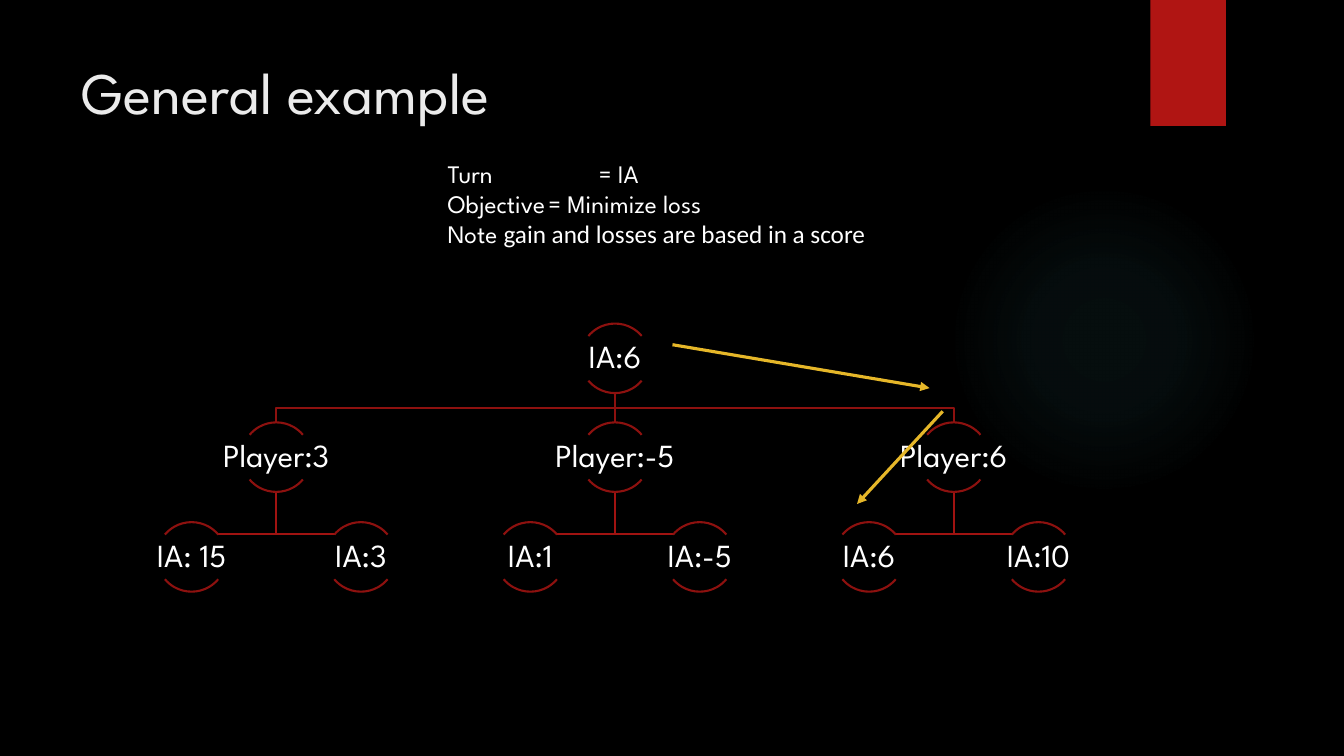
from lxml import etree
from pptx import Presentation
from pptx.dml.color import RGBColor
from pptx.enum.shapes import MSO_CONNECTOR, MSO_SHAPE as SHAPE
from pptx.enum.text import MSO_ANCHOR as ANCHOR, PP_ALIGN as ALIGN
from pptx.oxml.ns import qn
from pptx.util import Inches, Pt

COLORS = {"black": "000000", "banner": "B01513", "title": "EBEBEB",
          "white": "FFFFFF", "node": "8D110F", "leaf_link": "A01311",
          "arrow": "E6B729", "glow": "50B9C1"}
FONT = "League Spartan"


def rgb(name):
    return RGBColor.from_string(COLORS[name])


def add_text(p, text, size=18, color="white", font=FONT):
    r = p.add_run()
    r.text = text
    r.font.size = Pt(size)
    r.font.name = font
    r.font.color.rgb = rgb(color)
    return r


class TreeSlide:
    """Holds the slide and the measures of the game tree."""
    circle = 0.69
    label_size = (1.39, 0.44)

    def __init__(self, prs):
        self.slide = prs.slides.add_slide(prs.slide_layouts[5])
        self.shapes = self.slide.shapes
        fill = self.slide.background.fill
        fill.solid()
        fill.fore_color.rgb = rgb("black")

    def title(self, text, *box):
        sp = self.shapes.title
        sp.left, sp.top, sp.width, sp.height = map(Inches, box)
        tf = sp.text_frame
        tf.vertical_anchor = ANCHOR.TOP
        p = tf.paragraphs[0]
        p.alignment = ALIGN.LEFT
        add_text(p, text, size=42, color="title")

    def shape(self, kind, *box, fill=None, line=None):
        sp = self.shapes.add_shape(kind, *map(Inches, box))
        return self.paint(sp, fill, line)

    def paint(self, sp, fill=None, line=None):
        sp.shadow.inherit = False
        if fill:
            sp.fill.solid()
            sp.fill.fore_color.rgb = rgb(fill)
        else:
            sp.fill.background()
        if line:
            sp.line.color.rgb = rgb(line)
            sp.line.width = Pt(1.5)
        else:
            sp.line.fill.background()
        return sp

    def glow(self, *box, stops):
        sp = self.shape(SHAPE.OVAL, *box)
        sp.fill.gradient()
        grad = sp._element.spPr.find(qn("a:gradFill"))
        for child in list(grad):
            grad.remove(child)
        stop_list = etree.SubElement(grad, qn("a:gsLst"))
        for pos, alpha in stops:
            gs = etree.SubElement(stop_list, qn("a:gs"), pos=str(pos * 1000))
            clr = etree.SubElement(gs, qn("a:srgbClr"), val=COLORS["glow"])
            etree.SubElement(clr, qn("a:alpha"), val=str(alpha * 1000))
        radial = etree.SubElement(grad, qn("a:path"))
        radial.set("path", "circle")
        etree.SubElement(radial, qn("a:fillToRect"),
                         l="50000", t="50000", r="50000", b="50000")

    def link(self, points, color):
        start, *rest = [(Inches(x), Inches(y)) for x, y in points]
        builder = self.shapes.build_freeform(*start)
        builder.add_line_segments(rest, close=False)
        self.paint(builder.convert_to_shape(), line=color)

    def line(self, start, end, color, width, arrow=False):
        cx = self.shapes.add_connector(MSO_CONNECTOR.STRAIGHT,
                                       *map(Inches, start + end))
        cx.line.color.rgb = rgb(color)
        cx.line.width = Pt(width)
        props = cx._element.spPr
        if arrow:
            etree.SubElement(props.find(qn("a:ln")), qn("a:tailEnd"),
                             type="triangle")
        etree.SubElement(props, qn("a:effectLst"))

    def text_box(self, *box, margin=None, anchor=ANCHOR.TOP):
        tf = self.shapes.add_textbox(*map(Inches, box)).text_frame
        tf.word_wrap = True
        tf.vertical_anchor = anchor
        if margin is not None:
            tf.margin_left = tf.margin_right = Inches(margin)
            tf.margin_top = tf.margin_bottom = Inches(margin)
        return tf

    def node(self, text, x, top):
        """Two arcs around a label, centred on x."""
        d = self.circle
        for start, end in ((132, 192), (24, 84)):
            arc = self.shape(SHAPE.ARC, x - d / 2, top, d, d, line="node")
            arc.adjustments[0] = start
            arc.adjustments[1] = end
        w, h = self.label_size
        tf = self.text_box(x - w / 2, top + (d - h) / 2, w, h,
                           margin=0.02, anchor=ANCHOR.MIDDLE)
        p = tf.paragraphs[0]
        p.alignment = ALIGN.CENTER
        p.line_spacing = 0.9
        add_text(p, text, size=23)

    def tabbed_text(self, lines, *box, tabs):
        tf = self.text_box(*box)
        for i, runs in enumerate(lines):
            p = tf.add_paragraph() if i else tf.paragraphs[0]
            tab_list = etree.SubElement(p._p.get_or_add_pPr(), qn("a:tabLst"))
            for pos in tabs:
                etree.SubElement(tab_list, qn("a:tab"),
                                 pos=str(Inches(pos)), algn="l")
            for text, font in runs:
                add_text(p, text, font=font)


def main():
    prs = Presentation()
    prs.slide_width, prs.slide_height = Inches(13.33), Inches(7.5)
    s = TreeSlide(prs)

    # Backdrop and title
    s.glow(9.41, 1.83, 3.08, 3.08, stops=((0, 7), (36, 6), (69, 0)))
    s.shape(SHAPE.RECTANGLE, 11.41, 0, 0.75, 1.25, fill="banner")
    s.title("General example", 0.71, 0.5, 10.29, 1.53)

    # Tree: root, players and their leaves
    root_x, root_y, player_y, leaf_y = 6.1, 3.21, 4.19, 5.18
    player_gap, leaf_offset, link_reach = 3.36, 0.84, 0.58
    root_bottom, player_bottom = root_y + s.circle, player_y + s.circle
    bus_y, leaf_link_y = 4.05, 5.3
    branches = (("Player:3", ("IA: 15", "IA:3")),
                ("Player:-5", ("IA:1", "IA:-5")),
                ("Player:6", ("IA:6", "IA:10")))
    columns = [root_x + (i - 1) * player_gap for i in range(len(branches))]

    # Links lie under the nodes
    for x in columns:
        for side in (1, -1):
            s.link([(x, player_bottom), (x, leaf_link_y),
                    (x + side * link_reach, leaf_link_y)], "leaf_link")
        if x == root_x:
            s.line((x, root_bottom), (x, player_y), "node", 1.5)
        else:
            s.link([(root_x, root_bottom), (root_x, bus_y),
                    (x, bus_y), (x, player_y)], "node")

    s.node("IA:6", root_x, root_y)
    for x, (player, leaves) in zip(columns, branches):
        s.node(player, x, player_y)
        for side, leaf in zip((-1, 1), leaves):
            s.node(leaf, x + side * leaf_offset, leaf_y)

    # Chosen path
    for start, end in (((6.67, 3.42), (9.22, 3.85)),
                       ((9.35, 4.08), (8.5, 5))):
        s.line(start, end, "arrow", 2.25, arrow=True)

    # Game state
    s.tabbed_text([[("Turn \t\t= IA", FONT)],
                   [("Objective\t= Minimize loss", FONT)],
                   [("Note ", FONT),
                    ("gain and losses are based in a score", "Calibri")]],
                  4.34, 1.52, 5.68, 1.62, tabs=(0.5, 1, 1.5))

    prs.save("out.pptx")


if __name__ == "__main__":
    main()
